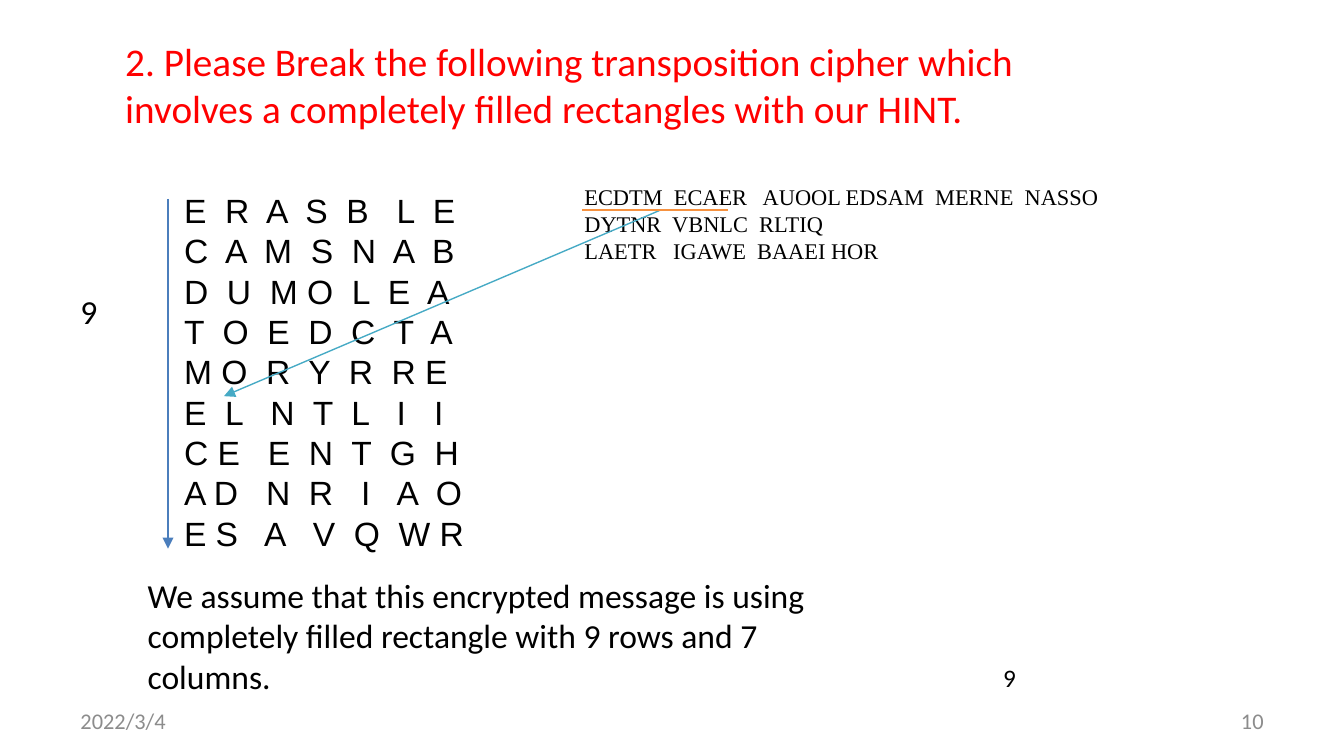
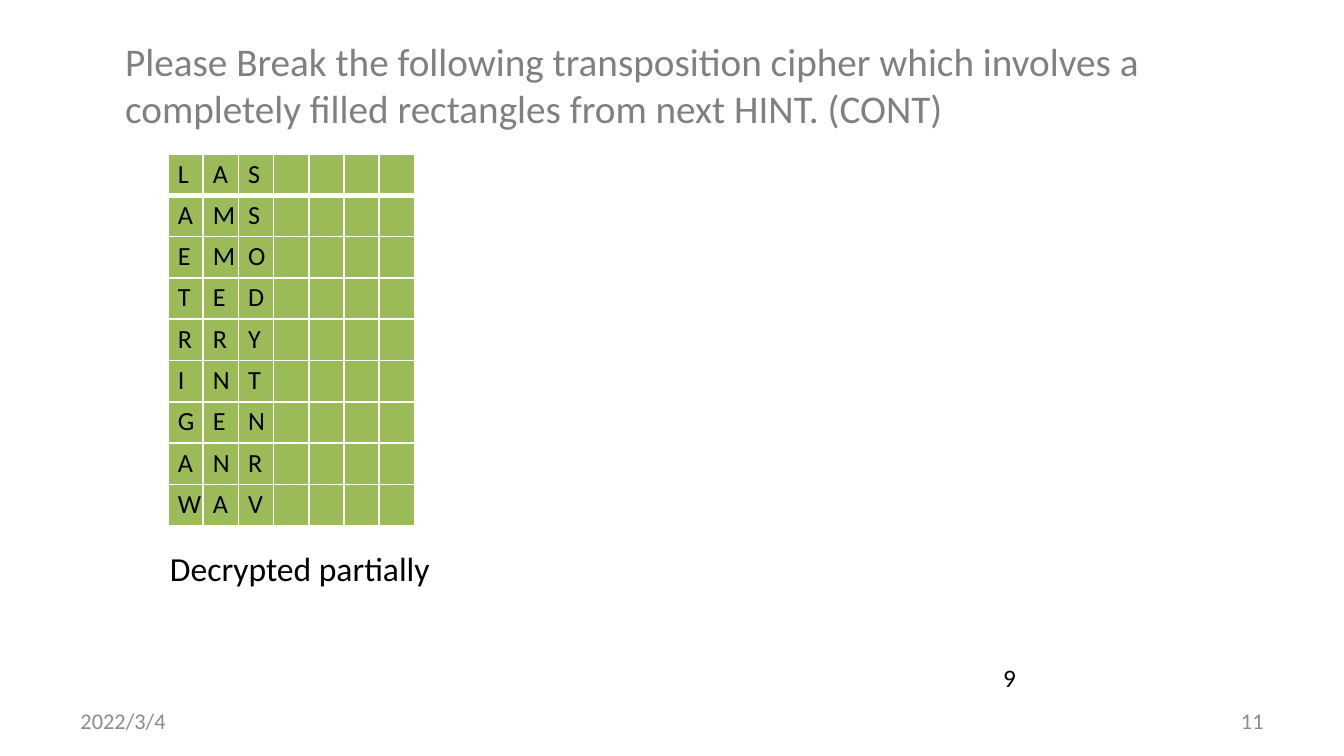
from typing import NamedTuple

from lxml.etree import SubElement
from pptx import Presentation
from pptx.dml.color import RGBColor
from pptx.enum.shapes import MSO_CONNECTOR, MSO_SHAPE
from pptx.enum.text import MSO_ANCHOR, MSO_AUTO_SIZE, PP_ALIGN
from pptx.oxml.ns import qn
from pptx.slide import Slide
from pptx.text.text import Font
from pptx.util import Emu, Pt

SCALE = 9525  # EMU in one px, 96 px to the inch
WIDTH, HEIGHT = 960, 540

WHITE = "FFFFFF"
BLACK = "000000"
RED = "FF0000"
GREY = "808080"
PALE = "8C8C8C"
GREEN = "9BBB59"
BLUE = "4B7EBC"
TEAL = "46AAC5"
ORANGE = "F69240"

SANS = "Calibri"
DATE = "2022/3/4"
MARK = "9"

CIPHER = (
    "ECDTM  ECAER   AUOOL EDSAM  MERNE  NASSO DYTNR  VBNLC  RLTIQ",
    "LAETR   IGAWE  BAAEI HOR",
)
LETTERS = (
    "E  R  A  S  B   L  E",
    "C  A  M  S  N  A  B",
    "D  U  M O  L  E  A",
    "T  O  E  D  C  T  A",
    "M O  R  Y  R  R E",
    "E  L   N  T  L   I   I",
    "C E   E  N  T  G  H",
    "A D   N  R   I   A  O",
    "E S   A   V  Q  W R",
)
FOUND = ("LAETRIGAW", "AMMERNENA", "SSODYTNRV")  # one word per solved column
ROWS, COLS = 9, 7


class Box(NamedTuple):
    left: int
    top: int
    width: int
    height: int


class Label(NamedTuple):
    box: Box
    lines: tuple[str, ...]
    size: float = 18
    color: str = BLACK
    font: str = SANS
    align: PP_ALIGN = PP_ALIGN.LEFT
    middle: bool = False


class Stroke(NamedTuple):
    start: tuple[int, int]
    end: tuple[int, int]
    color: str
    arrow: bool = True


def px(count: int) -> Emu:
    return Emu(count * SCALE)


def rgb(code: str) -> RGBColor:
    return RGBColor.from_string(code)


def style(font: Font, name: str, size: float, color: str) -> None:
    font.name = name
    font.size = Pt(size)
    font.color.rgb = rgb(color)


def write(slide: Slide, label: Label) -> None:
    """Add a text box; boxes that are not centred grow with their text."""
    frame = slide.shapes.add_textbox(*map(px, label.box)).text_frame
    frame.word_wrap = True
    if label.middle:
        frame.vertical_anchor = MSO_ANCHOR.MIDDLE
    else:
        frame.auto_size = MSO_AUTO_SIZE.SHAPE_TO_FIT_TEXT
    frame.text = "\n".join(label.lines)
    for para in frame.paragraphs:
        para.alignment = label.align
        style(para.font, label.font, label.size, label.color)


def draw(slide: Slide, stroke: Stroke) -> None:
    ends = map(px, stroke.start + stroke.end)
    link = slide.shapes.add_connector(MSO_CONNECTOR.STRAIGHT, *ends)
    link.line.color.rgb = rgb(stroke.color)
    link.line.width = Pt(0.75)
    if stroke.arrow:
        SubElement(link.line._get_or_add_ln(), qn("a:tailEnd"), type="triangle")
    SubElement(link._element.spPr, qn("a:effectLst"))


def edge(cell, row: int) -> None:
    """Give a cell white borders, with a thick one under the first row."""
    props = cell._tc.get_or_add_tcPr()
    for side in "LRTB":
        thick = (row, side) in ((0, "B"), (1, "T"))
        line = SubElement(props, qn(f"a:ln{side}"), w=str(Pt(3 if thick else 1)))
        fill = SubElement(line, qn("a:solidFill"))
        SubElement(fill, qn("a:srgbClr"), val=WHITE)


def fill_grid(slide: Slide, box: Box) -> None:
    table = slide.shapes.add_table(ROWS, COLS, *map(px, box)).table
    table.first_row = table.horz_banding = False
    for col in table.columns:
        col.width = px(box.width) // COLS
    for row in table.rows:
        row.height = px(box.height) // ROWS
    for r in range(ROWS):
        for c in range(COLS):
            cell = table.cell(r, c)
            cell.margin_left = cell.margin_right = px(7)
            cell.margin_top = cell.margin_bottom = px(3)
            edge(cell, r)
            cell.fill.solid()
            cell.fill.fore_color.rgb = rgb(GREEN)
            para = cell.text_frame.paragraphs[0]
            style(para.font, SANS, 14, BLACK)
            if c < len(FOUND):
                para.text = FOUND[c][r]
            else:
                SubElement(para._p, qn("a:endParaRPr"), sz="1400")


def add_page(deck, title: str, width: int, color: str, number: int) -> Slide:
    """Add a slide with the shared band, title, mark and footer."""
    slide = deck.slides.add_slide(deck.slide_layouts[6])
    band = slide.shapes.add_shape(MSO_SHAPE.RECTANGLE, *map(px, Box(878, 506, 80, 32)))
    band.shadow.inherit = False
    band.fill.solid()
    band.fill.fore_color.rgb = band.line.color.rgb = rgb(WHITE)
    band.line.width = Pt(2)
    for label in (
        Label(Box(80, 22, width, 78), (title,), 21, color),
        Label(Box(707, 468, 85, 32), (MARK,), 13.5),
        Label(Box(48, 500, 224, 29), (DATE,), 12, PALE, middle=True),
        Label(Box(688, 500, 224, 29), (str(number),), 12, PALE,
              align=PP_ALIGN.RIGHT, middle=True),
    ):
        write(slide, label)
    return slide


def add_hint(deck) -> None:
    slide = add_page(
        deck,
        "2. Please Break the following transposition cipher which involves "
        "a completely filled rectangles with our HINT.",
        696, RED, 10,
    )
    draw(slide, Stroke((120, 142), (120, 392), BLUE))
    note = ("We assume that this encrypted message is using completely filled "
            "rectangle with 9 rows and 7 columns.")
    for label in (
        Label(Box(408, 126, 443, 68), CIPHER, 12, font="Times New Roman"),
        Label(Box(122, 131, 483, 272), LETTERS, font="Arial"),
        Label(Box(48, 203, 56, 38), (str(ROWS),)),
        Label(Box(96, 406, 496, 97), (note,)),
    ):
        write(slide, label)
    draw(slide, Stroke((472, 150), (160, 283), TEAL))
    draw(slide, Stroke((416, 150), (520, 150), ORANGE, arrow=False))


def add_partial(deck) -> None:
    slide = add_page(
        deck,
        "Please Break the following transposition cipher which involves "
        "a completely filled rectangles from next HINT. (CONT)",
        760, GREY, 11,
    )
    fill_grid(slide, Box(120, 110, 176, 266))
    write(slide, Label(Box(112, 387, 232, 38), ("Decrypted partially",)))


def main() -> None:
    deck = Presentation()
    deck.slide_width, deck.slide_height = px(WIDTH), px(HEIGHT)
    add_hint(deck)
    add_partial(deck)
    deck.save("out.pptx")


if __name__ == "__main__":
    main()
